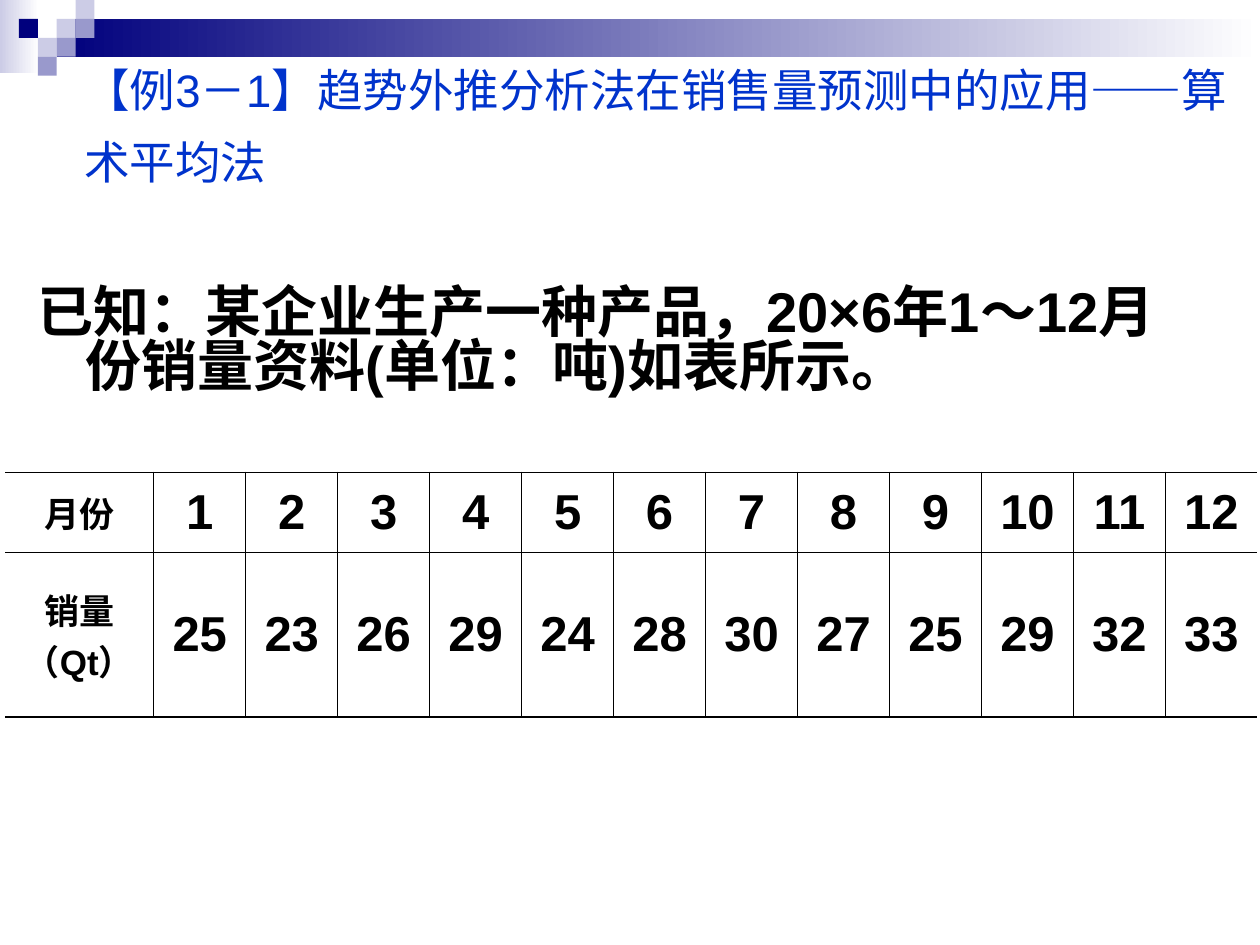
from dataclasses import dataclass
from lxml.etree import SubElement
from pptx import Presentation
from pptx.dml.color import RGBColor
from pptx.enum.shapes import MSO_SHAPE
from pptx.enum.text import MSO_ANCHOR, PP_ALIGN
from pptx.oxml.ns import qn
from pptx.util import Inches, Pt


@dataclass(frozen=True)
class Theme:
    navy: str = "00007D"
    violet: str = "9999CC"
    lavender: str = "CCCCE6"
    white: str = "FFFFFF"
    blue: str = "0033CC"
    black: str = "000000"
    font: str = "Arial"
    title_size: int = 26
    title_end_size: int = 36
    body_size: int = 32
    label_size: int = 20
    value_size: int = 28
    thin: float = 0.45
    thick: float = 1.08


theme = Theme()


def style_font(font, size, color, bold):
    font.name = theme.font
    font.size = Pt(size)
    font.bold = bold
    font.color.rgb = RGBColor.from_string(color)


def set_border(cell, side, width):
    line = SubElement(cell._tc.get_or_add_tcPr(), qn(f"a:{side}"), w=str(Pt(width)))
    if width:
        solid = SubElement(line, qn("a:solidFill"))
        SubElement(solid, qn("a:srgbClr"), val=theme.black)
    else:
        SubElement(line, qn("a:noFill"))


prs = Presentation()
prs.slide_width, prs.slide_height = Inches(10), Inches(7.5)
slide = prs.slides.add_slide(prs.slide_layouts[6])

# Header bands, fading to white on the right
for left, top, width, height, color in [
    (0, 0, 0.31, 0.58, theme.lavender),
    (0.45, 0.15, 9.55, 0.3, theme.navy),
]:
    band = slide.shapes.add_shape(
        MSO_SHAPE.RECTANGLE, Inches(left), Inches(top), Inches(width), Inches(height))
    band.shadow.inherit = False
    band.line.fill.background()
    band.fill.gradient()
    band.fill.gradient_angle = 0
    for stop, stop_color, position in zip(
            band.fill.gradient_stops, (color, theme.white), (0, 1)):
        stop.color.rgb = RGBColor.from_string(stop_color)
        stop.position = position

# Mosaic squares on a regular grid: column, row, colour
step = 0.15
for column, row, color in [
    (3, 1, theme.lavender), (4, 0, theme.lavender), (4, 1, theme.violet),
    (2, 2, theme.lavender), (1, 1, theme.navy), (3, 2, theme.violet),
    (2, 3, theme.violet),
]:
    square = slide.shapes.add_shape(
        MSO_SHAPE.RECTANGLE, Inches(column * step), Inches(row * step),
        Inches(step), Inches(step))
    square.shadow.inherit = False
    square.line.fill.background()
    square.fill.solid()
    square.fill.fore_color.rgb = RGBColor.from_string(color)

# Title; the larger closing space sets the height of the last line
title = slide.shapes.add_textbox(
    Inches(0.57), Inches(0.33), Inches(9.4), Inches(1.35)).text_frame
title.word_wrap = True
title.vertical_anchor = MSO_ANCHOR.MIDDLE
heading = title.paragraphs[0]
heading.add_run().text = "【例3－1】趋势外推分析法在销售量预测中的应用——算术平均法"
style_font(heading.font, theme.title_size, theme.blue, False)
closing = heading.add_run()
closing.text = " "
closing.font.size = Pt(theme.title_end_size)

# Problem statement with a hanging indent
statement = slide.shapes.add_textbox(
    Inches(0.2), Inches(2.25), Inches(9.27), Inches(1.11)).text_frame
statement.word_wrap = True
known = statement.paragraphs[0]
known.text = "已知：某企业生产一种产品，20×6年1～12月份销量资料(单位：吨)如表所示。"
known.line_spacing = 0.8
indent = known._p.get_or_add_pPr()
indent.set("marL", str(Inches(0.38)))
indent.set("indent", str(Inches(-0.38)))
style_font(known.font, theme.body_size, theme.black, True)

# Monthly sales table; the sales row holds a three-line label
sales = [25, 23, 26, 29, 24, 28, 30, 27, 25, 29, 32, 33]
rows = [["月份", *range(1, 13)], ["销量（Qt）", *sales]]
row_heights = (0.63, 1.31)
last_row, last_column = len(rows) - 1, len(sales)
table = slide.shapes.add_table(
    len(rows), last_column + 1, Inches(0.04), Inches(3.75),
    Inches(9.94), Inches(sum(row_heights))).table
table.first_row = table.horz_banding = False
for column_index, column in enumerate(table.columns):
    column.width = Inches(0.73 if column_index else 1.18)
for row, height in zip(table.rows, row_heights):
    row.height = Inches(height)

for r, values in enumerate(rows):
    for c, value in enumerate(values):
        cell = table.cell(r, c)
        cell.vertical_anchor = MSO_ANCHOR.MIDDLE
        set_border(cell, "lnL", theme.thin if c else 0)
        set_border(cell, "lnR", theme.thin if c < last_column else 0)
        set_border(cell, "lnT", theme.thin if r else theme.thick)
        set_border(cell, "lnB", theme.thin if r < last_row else theme.thick)
        cell.fill.background()
        entry = cell.text_frame.paragraphs[0]
        entry.text = str(value)
        entry.alignment = PP_ALIGN.CENTER
        style_font(entry.font, theme.value_size if c else theme.label_size, theme.black, True)

prs.save("out.pptx")
